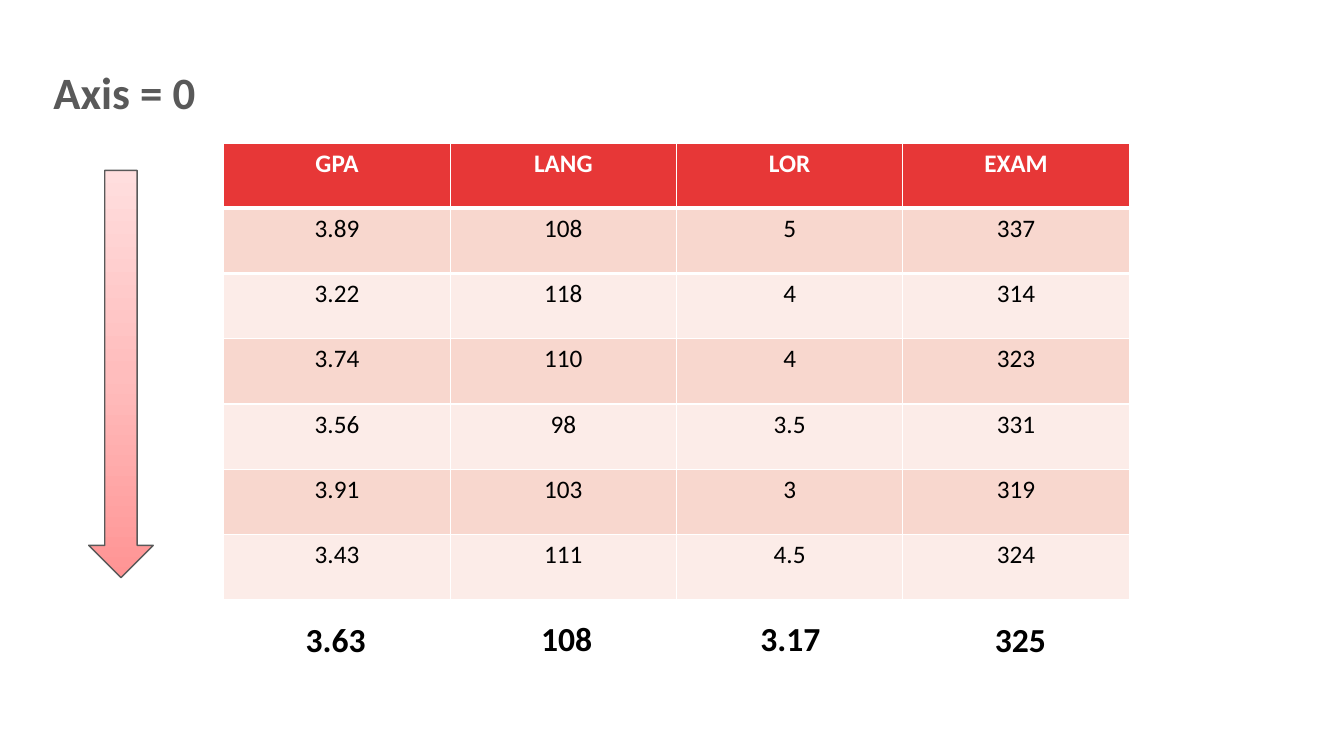
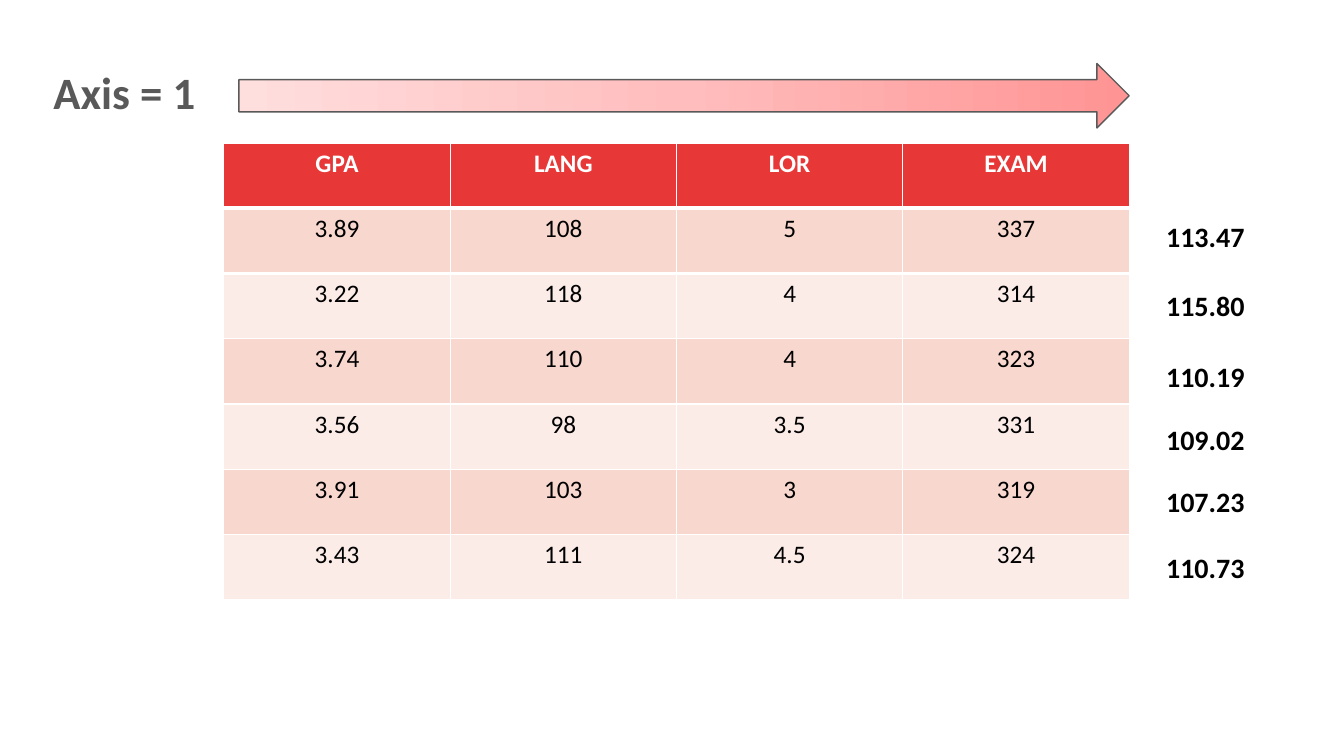
from copy import deepcopy

from pptx import Presentation
from pptx import util as u
from pptx.dml.color import RGBColor
from pptx.enum import shapes, text
from pptx.oxml import parse_xml
from pptx.oxml.ns import nsdecls

FONT = "Calibri"
BLACK, WHITE, GREY = "000000", "FFFFFF", "595959"
HEADER, BANDS = "E73737", ("F8D7CE", "FCECE8")
ARROW_STOPS = ((0, "FF9494"), (0.5, "FFBDBD"), (1, "FFDEDE"))
SCORES = (
    ("GPA", "LANG", "LOR", "EXAM"),
    ("3.89", "108", "5", "337"),
    ("3.22", "118", "4", "314"),
    ("3.74", "110", "4", "323"),
    ("3.56", "98", "3.5", "331"),
    ("3.91", "103", "3", "319"),
    ("3.43", "111", "4.5", "324"),
)
COLUMN_MEANS = (("3.63", 2.93, 6.09), ("108", 5.22, 6.08),
                ("3.17", 7.44, 6.08), ("325", 9.72, 6.09))
ROW_MEANS = (("113.47", 2.13), ("115.80", 2.81), ("110.19", 3.52),
             ("109.02", 4.14), ("107.23", 4.76), ("110.73", 5.41))


def rgb(value):
    """Turn a hex string into a colour."""
    return RGBColor.from_string(value)


def inches(*lengths):
    """Convert several lengths to inches."""
    return [u.Inches(length) for length in lengths]


def write(tf, value, size, color, bold):
    """Write one centred line in a text frame."""
    tf.text = value
    p = tf.paragraphs[0]
    p.alignment = text.PP_ALIGN.CENTER
    font = p.runs[0].font
    font.name, font.size, font.bold = FONT, u.Pt(size), bold
    font.color.rgb = rgb(color)
    return p


def add_slide(prs, title):
    """Add a slide with its title and the score table."""
    s = prs.slides.add_slide(prs.slide_layouts.get_by_name("Title Only"))
    add_table(s)
    sp = s.shapes.title
    sp.left, sp.top, sp.width, sp.height = inches(0.11, 0.62, 2.25, 0.64)
    sp.text_frame.vertical_anchor = text.MSO_ANCHOR.MIDDLE
    write(sp.text_frame, title, 32, GREY, True).line_spacing = 0.9
    return s


def set_border(cell, side, color, width):
    """Draw one side of a cell as a solid line."""
    cell._tc.get_or_add_tcPr().insert(0, parse_xml(
        f'<a:{side} {nsdecls("a")} w="{u.Pt(width)}"><a:solidFill>'
        f'<a:srgbClr val="{color}"/></a:solidFill></a:{side}>'))


def add_table(s):
    """Add the score table with a red header and banded rows."""
    box = inches(2.22, 1.42, 8.98, 4.53)
    table = s.shapes.add_table(len(SCORES), len(SCORES[0]), *box).table
    for i, row in enumerate(SCORES):
        for j, value in enumerate(row):
            cell = table.cell(i, j)
            cell.fill.solid()
            cell.fill.fore_color.rgb = rgb(BANDS[(i - 1) % 2] if i else HEADER)
            write(cell.text_frame, value, 18, BLACK if i else WHITE, i == 0)
            if i < 2:
                set_border(cell, "lnT" if i else "lnB", WHITE, 3)


def add_arrow(s, kind, box, angle):
    """Add a block arrow whose gradient darkens towards its head."""
    sp = s.shapes.add_shape(kind, *inches(*box))
    sp.shadow.inherit = False
    sp.fill.gradient()
    first = sp._element.spPr.xpath(".//a:gs")[0]
    first.addnext(deepcopy(first))
    for stop, (position, color) in zip(sp.fill.gradient_stops, ARROW_STOPS):
        stop.position = position
        stop.color.rgb = rgb(color)
    sp.fill.gradient_angle = angle
    sp.line.color.rgb = rgb(GREY)
    sp.line.width = u.Pt(1)


def add_mean(s, value, box, size):
    """Add a bold mean beside the table."""
    tf = s.shapes.add_textbox(*inches(*box)).text_frame
    tf.word_wrap = False
    tf.auto_size = text.MSO_AUTO_SIZE.SHAPE_TO_FIT_TEXT
    write(tf, value, size, BLACK, True)


def main():
    """Build both slides and save the presentation."""
    prs = Presentation()
    prs.slide_width, prs.slide_height = inches(13.33, 7.5)

    s = add_slide(prs, "Axis = 0")
    add_arrow(s, shapes.MSO_SHAPE.DOWN_ARROW, (0.88, 1.69, 0.64, 4.04), 90)
    for value, left, top in COLUMN_MEANS:
        add_mean(s, value, (left, top, 0.8, 0.5), 24)

    s = add_slide(prs, "Axis = 1")
    add_arrow(s, shapes.MSO_SHAPE.RIGHT_ARROW, (2.37, 0.63, 8.83, 0.64), 180)
    for value, top in ROW_MEANS:
        add_mean(s, value, (11.46, top, 0.99, 0.44), 20)

    prs.save("out.pptx")


if __name__ == "__main__":
    main()
